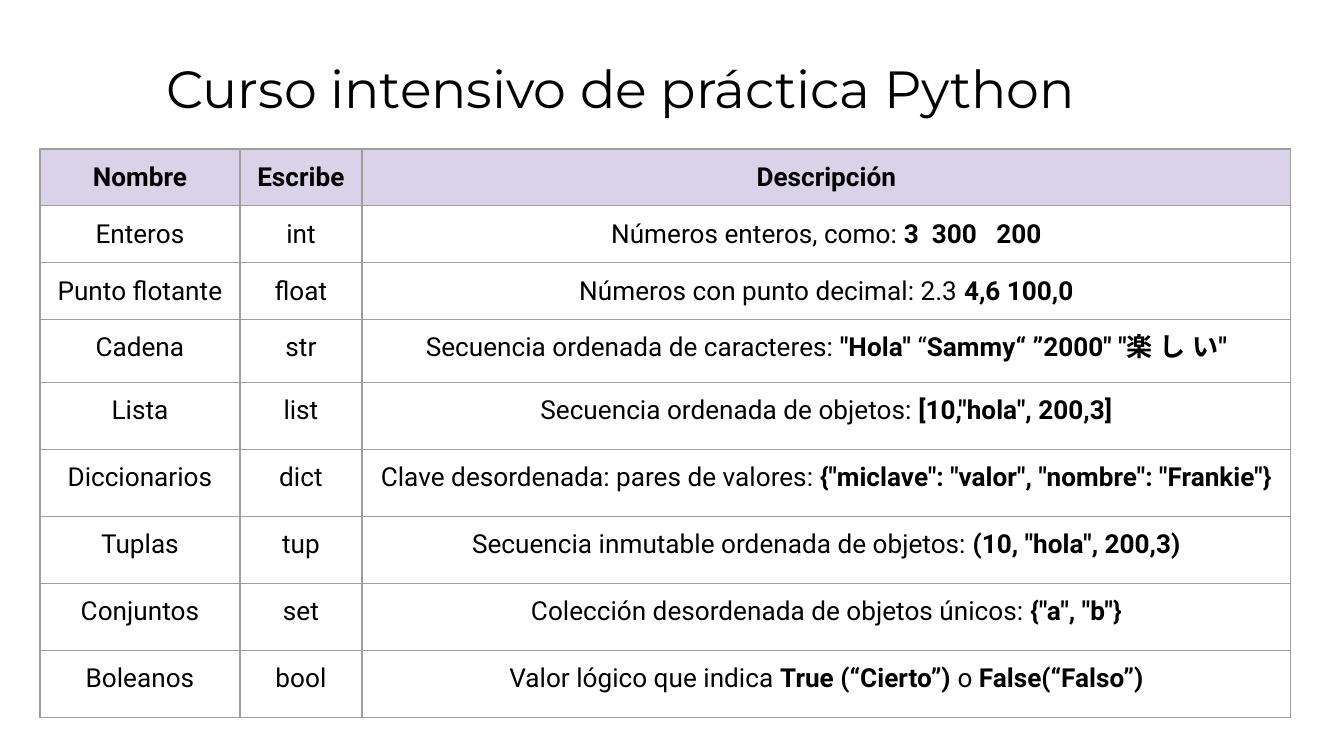
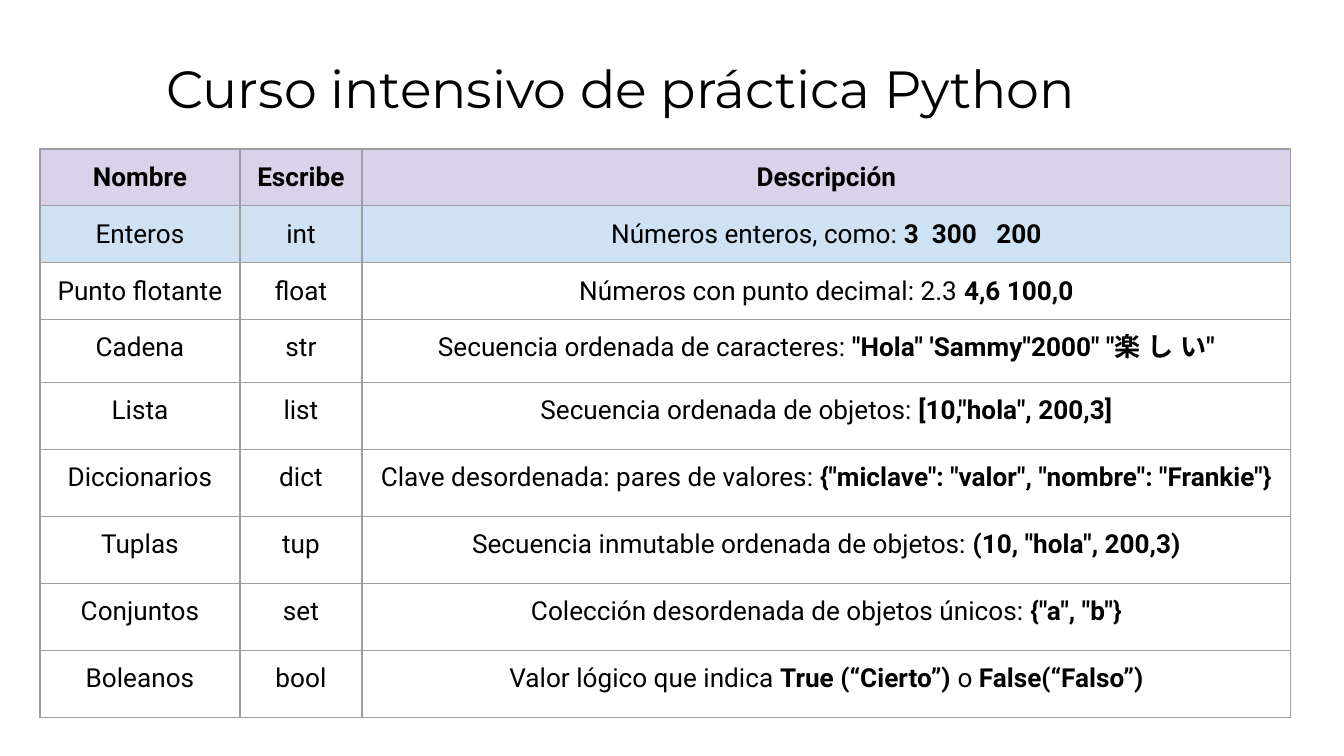
from lxml import etree
from pptx import Presentation
from pptx import util as u
from pptx.dml.color import RGBColor
from pptx.enum import text
from pptx.oxml import ns

PX = 914400 / 134.4
COLORS = {"ink": "000000", "header": "D9D2E9", "highlight": "CFE2F3", "border": "9E9E9E"}
TITLE = "Curso intensivo de práctica Python"
TITLE_BOX = {"left": 153, "top": 43, "width": 1145, "height": 85}
TITLE_FRAME = {
    "word_wrap": True,
    "auto_size": text.MSO_AUTO_SIZE.NONE,
    "vertical_anchor": text.MSO_ANCHOR.TOP,
}
MARGINS = ("margin_left", "margin_top", "margin_right", "margin_bottom")
MARGIN = 13
COLUMN_WIDTHS = [200, 122, 929]
ROW_HEIGHTS = [52, 48, 43, 63] + [67] * 5

# Text between ** marks is bold.
DATA_TYPES = [
    ("**Nombre**", "**Escribe**", "**Descripción**"),
    ("Enteros", "int", "Números enteros, como: **3  300   200**"),
    ("Punto flotante", "float", "Números con punto decimal: 2.3** 4,6 100,0**"),
    ("Cadena", "str", "Secuencia ordenada de caracteres: {strings}"),
    ("Lista", "list", 'Secuencia ordenada de objetos: **[10,"hola", 200,3]**'),
    ("Diccionarios", "dict",
     'Clave desordenada: pares de valores: **{"miclave": "valor", "nombre": "Frankie"}**'),
    ("Tuplas", "tup", 'Secuencia inmutable ordenada de objetos: **(10, "hola", 200,3)**'),
    ("Conjuntos", "set", 'Colección desordenada de objetos únicos: **{"a", "b"}**'),
    ("Boleanos", "bool", "Valor lógico que indica **True (“Cierto”) **o **False(“Falso”)**"),
]
SLIDES = [
    {"strings": '**"Hola"** “**Sammy“ ”2000" "楽 し い"**',
     "row_fills": {0: "header"}},
    {"strings": '**"Hola" \'Sammy"2000" "楽 し い"**',
     "row_fills": {0: "header", 1: "highlight"}},
]


def px(length):
    return u.Emu(round(length * PX))


def add_run(paragraph, words, font_name, size, bold=False):
    run = paragraph.add_run()
    run.text = words
    for name, value in {"name": font_name, "size": u.Pt(size), "bold": bold}.items():
        setattr(run.font, name, value)
    run.font.color.rgb = RGBColor.from_string(COLORS["ink"])
    for script in ("a:ea", "a:cs"):
        etree.SubElement(run.font._element, ns.qn(script), typeface=font_name)


prs = Presentation()
prs.slide_width, prs.slide_height = px(1344), px(756)

for content in SLIDES:
    slide = prs.slides.add_slide(prs.slide_layouts[5])

    title = slide.shapes.title
    for side, length in TITLE_BOX.items():
        setattr(title, side, px(length))
    for name, value in TITLE_FRAME.items():
        setattr(title.text_frame, name, value)
    for margin in MARGINS:
        setattr(title.text_frame, margin, px(MARGIN))
    heading = title.text_frame.paragraphs[0]
    heading.alignment = text.PP_ALIGN.LEFT
    add_run(heading, TITLE, "Montserrat", 28)

    frame = slide.shapes.add_table(
        len(DATA_TYPES), len(COLUMN_WIDTHS), px(40), px(149), px(1251), px(594))
    table = frame.table
    table.first_row = table.horz_banding = False
    for column, width in zip(table.columns, COLUMN_WIDTHS):
        column.width = px(width)
    for row, height in zip(table.rows, ROW_HEIGHTS):
        row.height = px(height)
    frame.height = px(594)

    for r, entries in enumerate(DATA_TYPES):
        for c, entry in enumerate(entries):
            cell = table.cell(r, c)
            for margin in MARGINS:
                setattr(cell, margin, px(MARGIN))

            paragraph = cell.text_frame.paragraphs[0]
            paragraph.alignment = text.PP_ALIGN.CENTER
            marked = entry.replace("{strings}", content["strings"])
            for i, words in enumerate(marked.split("**")):
                if words:
                    add_run(paragraph, words, "Roboto", 14, bold=i % 2 == 1)

            properties = cell._tc.get_or_add_tcPr()
            for edge in ("a:lnL", "a:lnR", "a:lnT", "a:lnB"):
                line = etree.SubElement(properties, ns.qn(edge), w=str(u.Pt(0.75)))
                fill = etree.SubElement(line, ns.qn("a:solidFill"))
                etree.SubElement(fill, ns.qn("a:srgbClr"), val=COLORS["border"])
            if r in content["row_fills"]:
                cell.fill.solid()
                cell.fill.fore_color.rgb = RGBColor.from_string(COLORS[content["row_fills"][r]])
            else:
                cell.fill.background()

prs.save("out.pptx")
